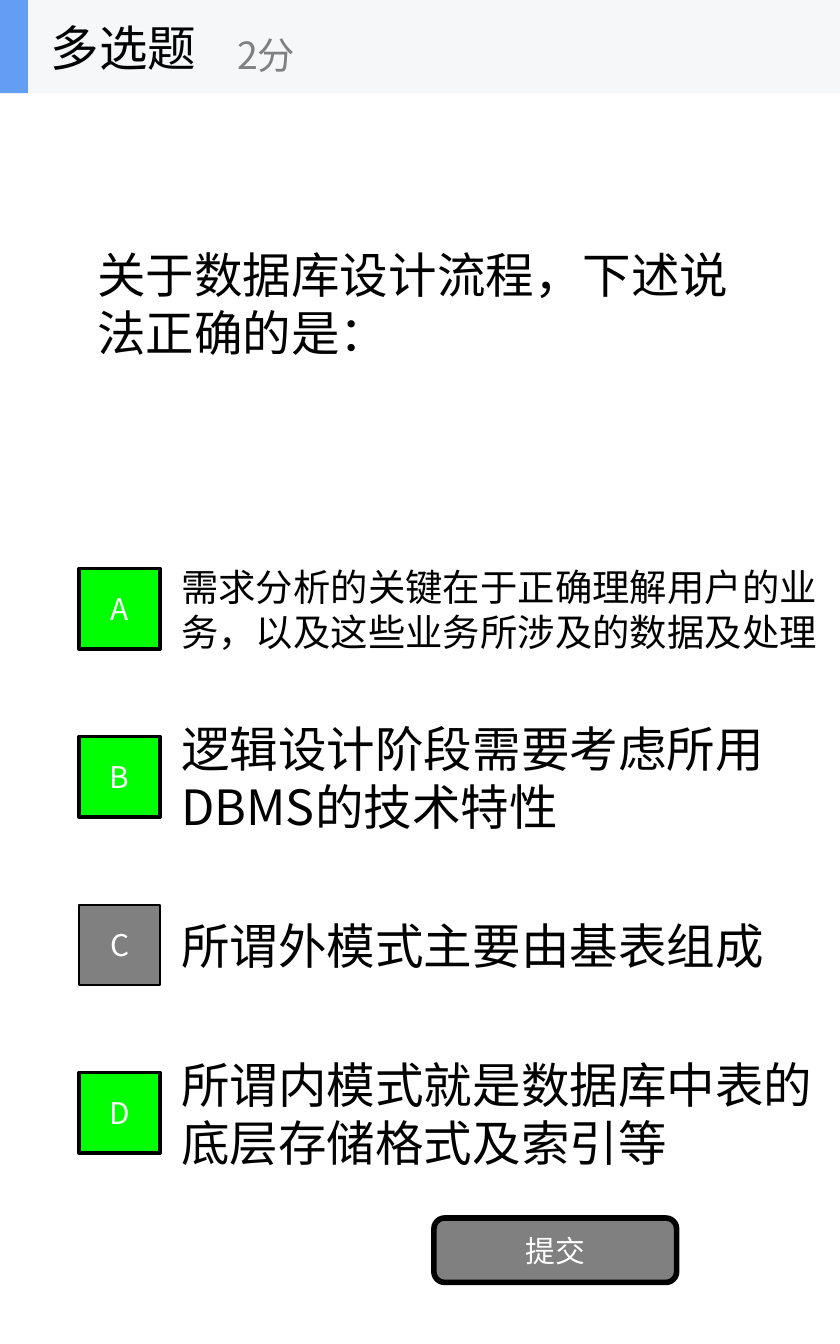
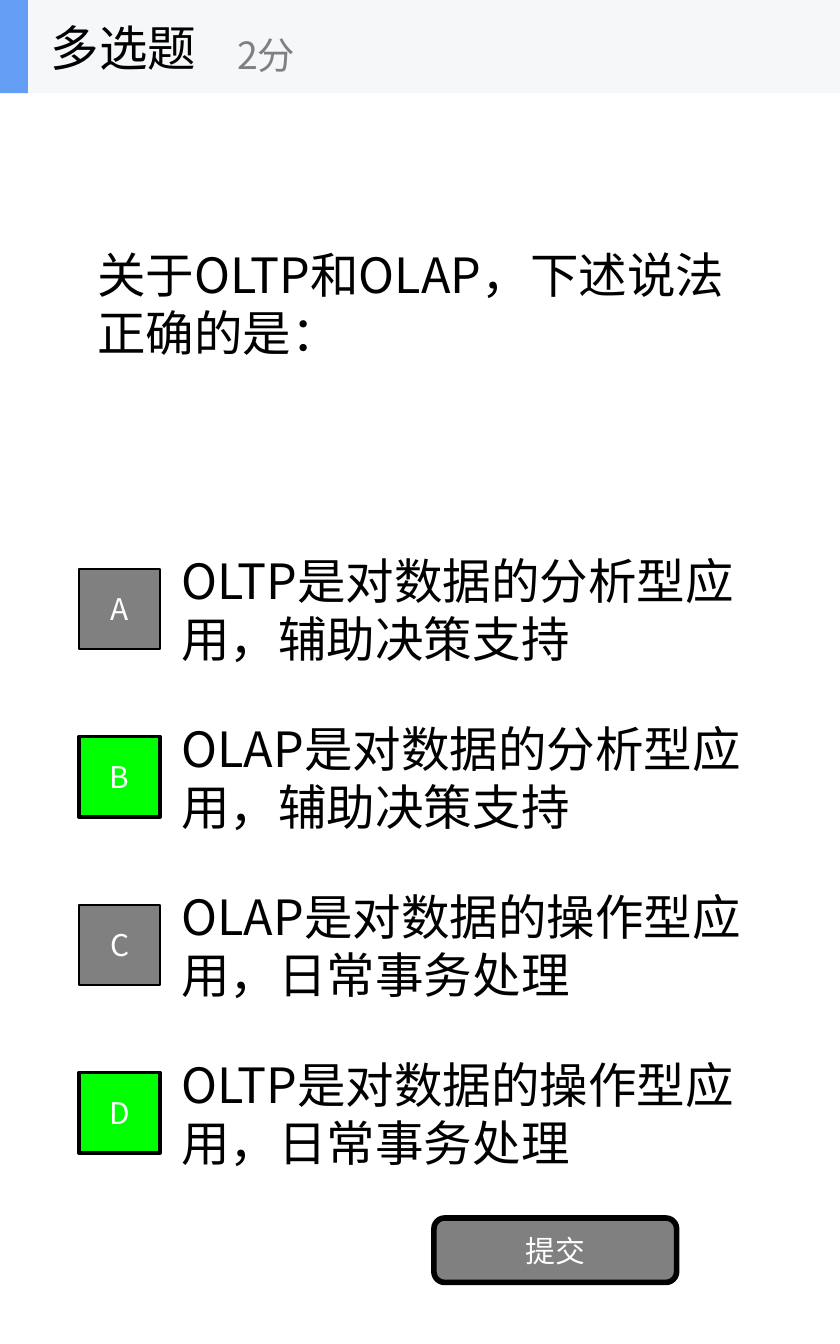
from dataclasses import dataclass

from lxml.etree import SubElement
from pptx import Presentation
from pptx.dml.color import RGBColor
from pptx.enum.shapes import MSO_SHAPE
from pptx.enum.text import MSO_ANCHOR, PP_ALIGN
from pptx.oxml.ns import qn
from pptx.util import Pt


@dataclass(frozen=True)
class Theme:
    font: str = "Noto Sans CJK SC"
    ink: str = "000000"
    muted: str = "808080"
    light: str = "FFFFFF"
    correct: str = "00FF00"
    band: str = "F6F7F8"
    accent: str = "639EF4"
    large: int = 26
    medium: int = 20
    small: int = 16


@dataclass(frozen=True)
class Option:
    text: str
    correct: bool
    width: float = 315
    size: int = Theme.large


class QuizDeck:
    slide_width, slide_height = 450, 720
    header_height = 50
    option_left, option_top, option_height, option_pitch = 90, 292.5, 67.5, 90
    badge_left, badge_side = 42.5, 43.2

    def __init__(self, theme):
        self.theme = theme
        self.presentation = Presentation()
        self.presentation.slide_width = Pt(self.slide_width)
        self.presentation.slide_height = Pt(self.slide_height)
        self.slide = None

    def set_text(self, shape, text, size, color, align=PP_ALIGN.LEFT, wrap=True):
        frame = shape.text_frame
        frame.text = text
        frame.word_wrap = wrap
        frame.vertical_anchor = MSO_ANCHOR.MIDDLE
        paragraph = frame.paragraphs[0]
        paragraph.alignment = align
        run = paragraph.runs[0]
        run.font.size = Pt(size)
        run.font.color.rgb = RGBColor.from_string(color)
        run.font.name = self.theme.font
        east_asian = SubElement(run._r.get_or_add_rPr(), qn("a:ea"))
        east_asian.set("typeface", self.theme.font)

    def label(self, shapes, text, box, size, color, wrap=True):
        label = shapes.add_textbox(*map(Pt, box))
        self.set_text(label, text, size, color, wrap=wrap)

    def block(self, shapes, kind, box, fill, border=0):
        block = shapes.add_shape(kind, *map(Pt, box))
        block.shadow.inherit = False
        block.fill.solid()
        block.fill.fore_color.rgb = RGBColor.from_string(fill)
        if border:
            block.line.color.rgb = RGBColor.from_string(self.theme.ink)
            block.line.width = Pt(border)
        else:
            block.line.fill.background()
        return block

    def button(self, kind, text, box, fill, border):
        button = self.block(self.slide.shapes, kind, box, fill, border)
        self.set_text(button, text, self.theme.small, self.theme.light, PP_ALIGN.CENTER)

    def header(self, title, score):
        theme, height = self.theme, self.header_height
        shapes = self.slide.shapes.add_group_shape().shapes
        self.block(shapes, MSO_SHAPE.RECTANGLE, (0, 0, self.slide_width, height), theme.band)
        self.block(shapes, MSO_SHAPE.RECTANGLE, (0, 0, 15, height), theme.accent)
        self.label(shapes, title, (20, 0, 150, height), theme.large, theme.ink, wrap=False)
        self.label(shapes, score, (120, 9, 180, 40), theme.medium, theme.muted, wrap=False)

    def options(self, options):
        theme = self.theme
        for row, option in enumerate(options):
            top = self.option_top + row * self.option_pitch
            self.label(self.slide.shapes, option.text,
                       (self.option_left, top, option.width, self.option_height),
                       option.size, theme.ink)
        for row, (letter, option) in enumerate(zip("ABCD", options)):
            top = self.option_top + row * self.option_pitch
            badge_top = top + (self.option_height - self.badge_side) / 2
            fill, border = (theme.correct, 2) if option.correct else (theme.muted, 1)
            self.button(MSO_SHAPE.RECTANGLE, letter,
                        (self.badge_left, badge_top, self.badge_side, self.badge_side),
                        fill, border)

    def question(self, prompt, options):
        layout = self.presentation.slide_layouts[6]
        self.slide = self.presentation.slides.add_slide(layout)
        self.label(self.slide.shapes, prompt, (45, self.header_height, 360, 225),
                   self.theme.large, self.theme.ink)
        self.options(options)
        self.button(MSO_SHAPE.ROUNDED_RECTANGLE, "提交", (232.5, 652.5, 130, 34.5),
                    self.theme.muted, 3)
        self.header("多选题", "2分")


QUESTIONS = [
    ("关于数据库设计流程，下述说法正确的是：", [
        Option("需求分析的关键在于正确理解用户的业务，以及这些业务所涉及的数据及处理",
               True, 356, Theme.medium),
        Option("逻辑设计阶段需要考虑所用DBMS的技术特性", True, 350),
        Option("所谓外模式主要由基表组成", False, 350),
        Option("所谓内模式就是数据库中表的底层存储格式及索引等", True, 360),
    ]),
    ("关于OLTP和OLAP，下述说法正确的是：", [
        Option("OLTP是对数据的分析型应用，辅助决策支持", False),
        Option("OLAP是对数据的分析型应用，辅助决策支持", True),
        Option("OLAP是对数据的操作型应用，日常事务处理", False),
        Option("OLTP是对数据的操作型应用，日常事务处理", True),
    ]),
]


def main():
    deck = QuizDeck(Theme())
    for prompt, options in QUESTIONS:
        deck.question(prompt, options)
    deck.presentation.save("out.pptx")


if __name__ == "__main__":
    main()
